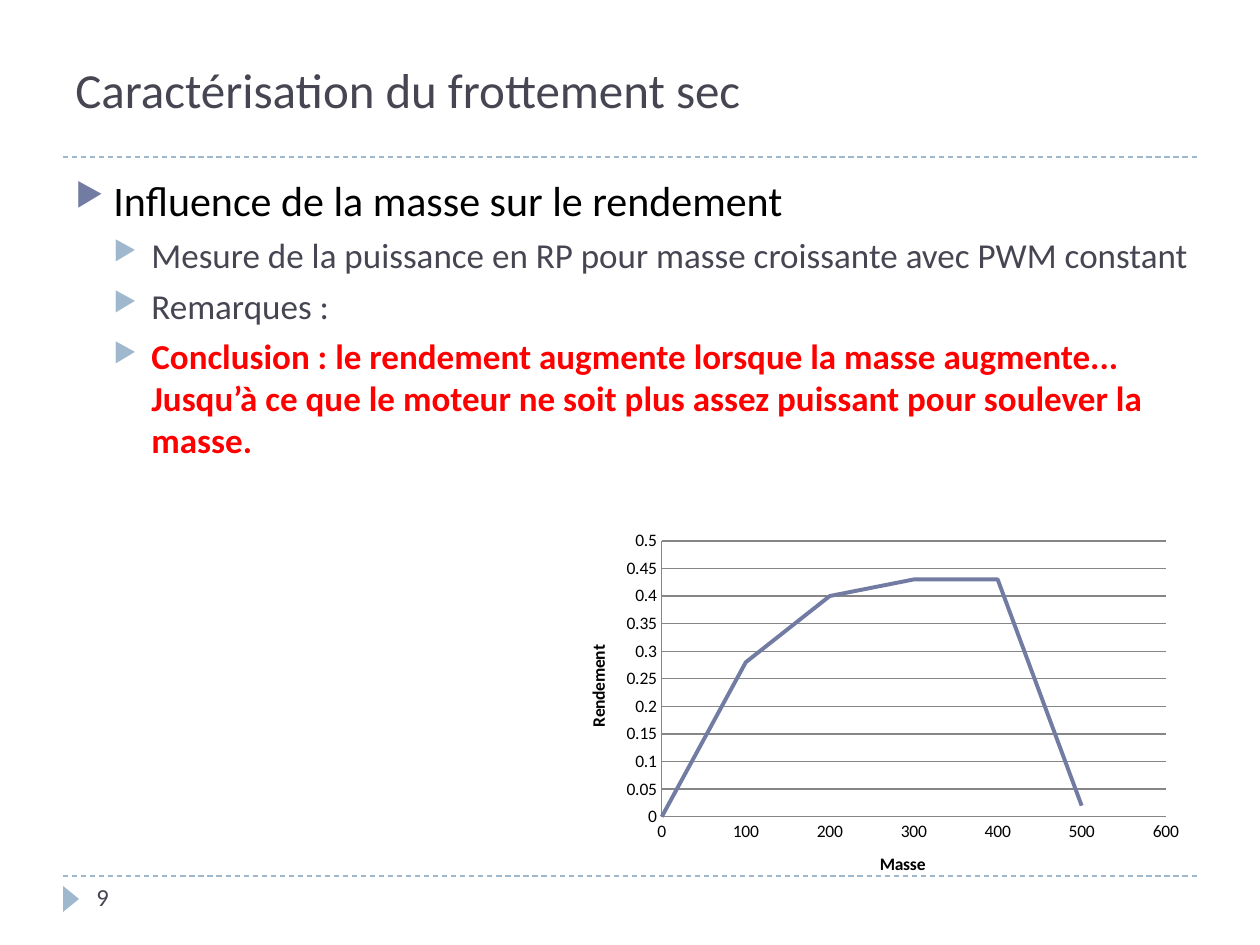
from lxml import etree
from pptx import Presentation
from pptx.chart.data import XyChartData
from pptx.dml.color import RGBColor
from pptx.enum.chart import XL_CHART_TYPE, XL_TICK_MARK
from pptx.enum.dml import MSO_LINE
from pptx.enum.shapes import MSO_CONNECTOR, MSO_SHAPE
from pptx.enum.text import MSO_ANCHOR
from pptx.oxml import parse_xml
from pptx.oxml.ns import nsdecls, qn
from pptx.util import Pt

SMOOTH = XL_CHART_TYPE.XY_SCATTER_SMOOTH_NO_MARKERS
NO_TICK = XL_TICK_MARK.NONE
DASH = MSO_LINE.DASH
STRAIGHT = MSO_CONNECTOR.STRAIGHT
TRIANGLE = MSO_SHAPE.ISOSCELES_TRIANGLE
TOP, MIDDLE = MSO_ANCHOR.TOP, MSO_ANCHOR.MIDDLE

FONT = "Calibri"
BLACK = RGBColor(0x00, 0x00, 0x00)
SLATE = RGBColor(0x46, 0x46, 0x53)
RED = RGBColor(0xFF, 0x00, 0x00)
INDIGO = RGBColor(0x72, 0x7C, 0xA3)
SKY = RGBColor(0x9F, 0xB8, 0xCD)
GREY = RGBColor(0x86, 0x86, 0x86)

TITLE = "Caractérisation du frottement sec"
PAGE = "9"
SUB = dict(size=20, color=SLATE, level=1, before=5, bullet=SKY)
BODY = [
    ("Influence de la masse sur le rendement",
     dict(size=24, color=BLACK, before=6, bullet=INDIGO)),
    ("Mesure de la puissance en RP pour masse croissante avec PWM constant", SUB),
    ("Remarques :", SUB),
    ("Conclusion : le rendement augmente lorsque la masse augmente... "
     "Jusqu’à ce que le moteur ne soit plus assez puissant pour soulever la masse.",
     {**SUB, "color": RED, "bold": True}),
]
POINTS = [(0, 0), (100, 0.28), (200, 0.4), (300, 0.43), (400, 0.43), (500, 0.02)]
X_TITLE, Y_TITLE = "Masse", "Rendement"

RULE_YS = (157, 876)
RULE_X = (63, 1197)
TITLE_BOX = (63, 21, 1133, 136)
BODY_BOX = (63, 168, 1153, 680)
PAGE_BOX = (84, 876, 273, 50)
ARROW_BOX = (58, 891, 26, 16)
CHART_BOX = (561, 522, 630, 378)
PLOT_SHARE = dict(x=0.16, y=0.05, w=0.8, h=0.73)
INDENT = 38


def px(n):
    return round(n * 914400 / 126)


def box(bounds):
    return [px(n) for n in bounds]


def set_font(font, size, color, bold=False):
    font.name, font.size, font.bold = FONT, Pt(size), bold
    font.color.rgb = color


def write(p, text, size=14, color=SLATE, bold=False, level=0, before=0, bullet=None):
    r = p.add_run()
    r.text = text
    set_font(r.font, size, color, bold)
    p.level = level
    p.space_before = Pt(before)
    if bullet is not None:
        pPr = p._p.get_or_add_pPr()
        pPr.set("marL", str(px(INDENT * (level + 1))))
        pPr.set("indent", str(-px(INDENT)))
        clr = etree.SubElement(pPr, qn("a:buClr"))
        etree.SubElement(clr, qn("a:srgbClr"), val=str(bullet))
        etree.SubElement(pPr, qn("a:buSzPct"), val="76000")
        etree.SubElement(pPr, qn("a:buChar"), char="▶")


def add_text(slide, bounds, paragraphs, anchor=TOP):
    tf = slide.shapes.add_textbox(*box(bounds)).text_frame
    tf.word_wrap = True
    tf.vertical_anchor = anchor
    for i, (text, style) in enumerate(paragraphs):
        write(tf.add_paragraph() if i else tf.paragraphs[0], text, **style)


def add_rule(slide, y):
    line = slide.shapes.add_connector(STRAIGHT, px(RULE_X[0]), px(y), px(RULE_X[1]), px(y))
    line.line.color.rgb = SKY
    line.line.width = Pt(0.75)
    line.line.dash_style = DASH
    etree.SubElement(line._element.spPr, qn("a:effectLst"))


def add_arrow(slide):
    s = slide.shapes.add_shape(TRIANGLE, *box(ARROW_BOX))
    s.rotation = 90
    s.shadow.inherit = False
    s.fill.solid()
    s.fill.fore_color.rgb = SKY
    s.line.fill.background()


def style_axis(axis, title, top, step):
    axis.minimum_scale, axis.maximum_scale, axis.major_unit = 0, top, step
    axis.major_tick_mark = axis.minor_tick_mark = NO_TICK
    axis.format.line.color.rgb = GREY
    axis.tick_labels.number_format = "General"
    axis.tick_labels.number_format_is_linked = False
    set_font(axis.tick_labels.font, 10, BLACK)
    write(axis.axis_title.text_frame.paragraphs[0], title, size=10, color=BLACK, bold=True)


def add_efficiency_chart(slide):
    data = XyChartData()
    series = data.add_series(Y_TITLE)
    for x, y in POINTS:
        series.add_data_point(x, y)
    chart = slide.shapes.add_chart(SMOOTH, *box(CHART_BOX), data).chart
    chart.has_legend = chart.has_title = False
    set_font(chart.font, 10, BLACK)
    style_axis(chart.category_axis, X_TITLE, 600, 100)
    style_axis(chart.value_axis, Y_TITLE, 0.5, 0.05)
    chart.category_axis.has_major_gridlines = False
    chart.value_axis.major_gridlines.format.line.color.rgb = GREY
    plot = chart.plots[0]
    plot.vary_by_categories = False
    curve = plot.series[0]
    curve.smooth = True
    curve.format.line.color.rgb = INDIGO
    curve.format.line.width = Pt(2.25)
    area = chart._chartSpace.chart.plotArea
    for old in area.findall(qn("c:layout")):
        area.remove(old)
    shares = "".join(f'<c:{k} val="{v}"/>' for k, v in PLOT_SHARE.items())
    area.insert(0, parse_xml(
        f'<c:layout {nsdecls("c")}><c:manualLayout><c:layoutTarget val="inner"/>'
        f'<c:xMode val="edge"/><c:yMode val="edge"/>{shares}</c:manualLayout></c:layout>'))


def main():
    prs = Presentation()
    prs.slide_width, prs.slide_height = px(1260), px(945)
    slide = prs.slides.add_slide(prs.slide_layouts[6])
    for y in RULE_YS:
        add_rule(slide, y)
    add_arrow(slide)
    add_text(slide, TITLE_BOX, [(TITLE, dict(size=28))], MIDDLE)
    add_text(slide, PAGE_BOX, [(PAGE, {})])
    add_text(slide, BODY_BOX, BODY)
    add_efficiency_chart(slide)
    prs.save("out.pptx")


if __name__ == "__main__":
    main()
